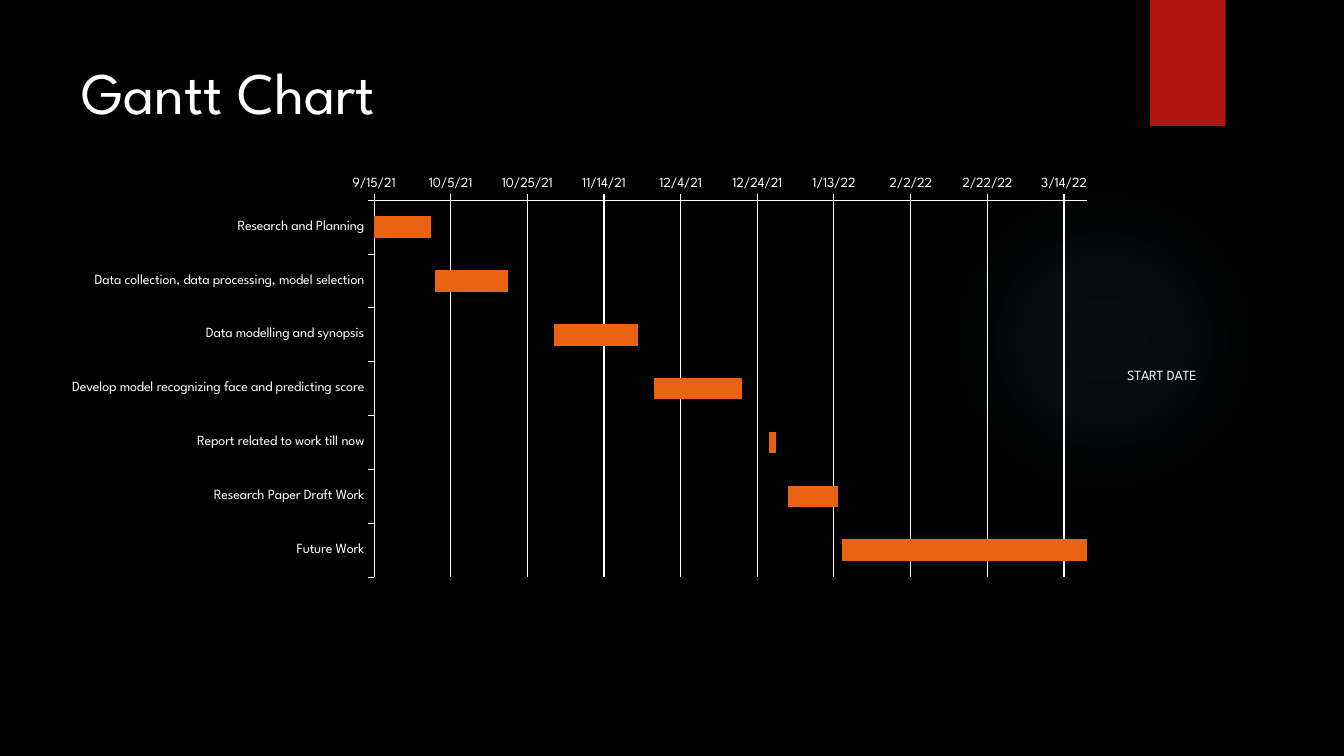
from lxml import etree
from pptx import Presentation
from pptx import util as u
from pptx.chart.data import CategoryChartData
from pptx.dml.color import RGBColor
from pptx.enum import chart as charts, shapes, text
from pptx.oxml import parse_xml
from pptx.oxml.ns import nsdecls, qn

# Content
TITLE = "Gantt Chart"
SERIES = ("START DATE", "DURATION")
TASKS = [  # name, start as a date serial, days
    ("Research and Planning", 44454, 15),
    ("Data collection, data processing, model selection", 44470, 19),
    ("Data modelling and synopsis", 44501, 22),
    ("Develop model recognizing face and predicting score", 44527, 23),
    ("Report related to work till now", 44557, 2),
    ("Research Paper Draft Work", 44562, 13),
    ("Future Work", 44576, 64),
]
DATE_FORMAT = "m/d/yy;@"
DAYS_PER_TICK = 20

THEME = {
    "font": "League Spartan",
    "background": RGBColor.from_string("000000"),
    "text": RGBColor.from_string("FFFFFF"),
    "ribbon": RGBColor.from_string("B01513"),
    "bar": RGBColor.from_string("EA6312"),
    "glow": "50B9C1",
    "title_size": u.Pt(42),
    "chart_size": u.Pt(10),
    "line": u.Pt(0.75),
}
GLOW_STOPS = [(0, 7), (36, 6), (69, 0)]  # position and opacity, percent

# Boxes in points: left, top, width, height
GLOW_BOX = (677.5, 131.8, 221.8, 221.8)
RIBBON_BOX = (821.5, 0, 54, 90)
TITLE_BOX = (51.1, 36, 740.9, 110.2)
CHART_BOX = (35.3, 121, 828.7, 297.4)
PLOT_BOX = (267.2, 143, 509.3, 269.3)


def box(points):
    return [u.Pt(value) for value in points]


def apply(target, formats):
    for name, value in formats.items():
        setattr(target, name, value)


def style_font(font, size):
    apply(font, {"name": THEME["font"], "size": size, "bold": False})
    font.color.rgb = THEME["text"]


def style_line(line):
    line.color.rgb = THEME["text"]
    line.width = THEME["line"]


def add_plain_shape(slide, kind, points):
    shape = slide.shapes.add_shape(kind, *box(points))
    shape.shadow.inherit = False
    shape.line.fill.background()
    return shape


def fill_with_glow(shape):
    stops = "".join(
        f'<a:gs pos="{position * 1000}"><a:srgbClr val="{THEME["glow"]}">'
        f'<a:alpha val="{opacity * 1000}"/></a:srgbClr></a:gs>'
        for position, opacity in GLOW_STOPS
    )
    gradient = parse_xml(
        f'<a:gradFill {nsdecls("a")}><a:gsLst>{stops}</a:gsLst><a:path path="circle">'
        '<a:fillToRect l="50000" t="50000" r="50000" b="50000"/></a:path></a:gradFill>'
    )
    shape._element.spPr.find(qn("a:prstGeom")).addnext(gradient)


def place_plot(chart):
    """Fix the inner plot area as fractions of the chart frame."""
    left, top, width, height = CHART_BOX
    plot_left, plot_top, plot_width, plot_height = PLOT_BOX
    values = {
        "x": (plot_left - left) / width,
        "y": (plot_top - top) / height,
        "w": plot_width / width,
        "h": plot_height / height,
    }
    plot_area = chart._chartSpace.chart.plotArea
    for layout in plot_area.findall(qn("c:layout")):
        plot_area.remove(layout)
    layout = etree.Element(qn("c:layout"))
    manual = etree.SubElement(layout, qn("c:manualLayout"))
    settings = [("layoutTarget", "inner"), ("xMode", "edge"), ("yMode", "edge")]
    settings += [(name, f"{value:.4f}") for name, value in values.items()]
    for name, value in settings:
        etree.SubElement(manual, qn(f"c:{name}")).set("val", value)
    plot_area.insert(0, layout)


def add_gantt(slide):
    names, starts, days = zip(*TASKS)
    data = CategoryChartData()
    data.categories = names
    for name, values in zip(SERIES, (starts, days)):
        data.add_series(name, values)
    chart = slide.shapes.add_chart(
        charts.XL_CHART_TYPE.BAR_STACKED, *box(CHART_BOX), data
    ).chart
    chart.has_title = False
    style_font(chart.font, THEME["chart_size"])

    # Bars: the start series only offsets the durations
    plot = chart.plots[0]
    apply(plot, {"gap_width": 150, "overlap": 100, "vary_by_categories": False})
    offset, duration = plot.series
    offset.format.fill.background()
    offset.format.line.fill.background()
    duration.format.fill.solid()
    duration.format.fill.fore_color.rgb = THEME["bar"]

    # Axes
    category_axis, value_axis = chart.category_axis, chart.value_axis
    category_axis.reverse_order = True
    apply(value_axis, {
        "minimum_scale": min(starts),
        "maximum_scale": max(start + length for _, start, length in TASKS),
        "major_unit": DAYS_PER_TICK,
        "has_major_gridlines": True,
    })
    apply(value_axis.tick_labels, {
        "number_format": DATE_FORMAT, "number_format_is_linked": False,
    })
    for axis in (category_axis, value_axis):
        axis.major_tick_mark = charts.XL_TICK_MARK.OUTSIDE
        style_font(axis.tick_labels.font, THEME["chart_size"])
        style_line(axis.format.line)
    style_line(value_axis.major_gridlines.format.line)

    # Legend with one entry
    chart.has_legend = True
    legend = chart.legend
    apply(legend, {
        "position": charts.XL_LEGEND_POSITION.RIGHT, "include_in_layout": False,
    })
    style_font(legend.font, THEME["chart_size"])
    legend._element.find(qn("c:legendPos")).addnext(parse_xml(
        f'<c:legendEntry {nsdecls("c")}><c:idx val="0"/><c:delete val="1"/></c:legendEntry>'
    ))
    place_plot(chart)


def main():
    presentation = Presentation()
    apply(presentation, {"slide_width": u.Pt(960), "slide_height": u.Pt(540)})
    slide = presentation.slides.add_slide(presentation.slide_layouts[5])
    slide.background.fill.solid()
    slide.background.fill.fore_color.rgb = THEME["background"]

    # Decoration
    fill_with_glow(add_plain_shape(slide, shapes.MSO_SHAPE.OVAL, GLOW_BOX))
    ribbon = add_plain_shape(slide, shapes.MSO_SHAPE.RECTANGLE, RIBBON_BOX)
    ribbon.fill.solid()
    ribbon.fill.fore_color.rgb = THEME["ribbon"]

    # Title
    title = slide.shapes.title
    apply(title, dict(zip(("left", "top", "width", "height"), box(TITLE_BOX))))
    title.text_frame.text = TITLE
    apply(title.text_frame, {
        "vertical_anchor": text.MSO_ANCHOR.TOP,
        "auto_size": text.MSO_AUTO_SIZE.NONE,
        "word_wrap": True,
    })
    paragraph = title.text_frame.paragraphs[0]
    paragraph.alignment = text.PP_ALIGN.LEFT
    style_font(paragraph.font, THEME["title_size"])

    add_gantt(slide)
    presentation.save("out.pptx")


if __name__ == "__main__":
    main()
